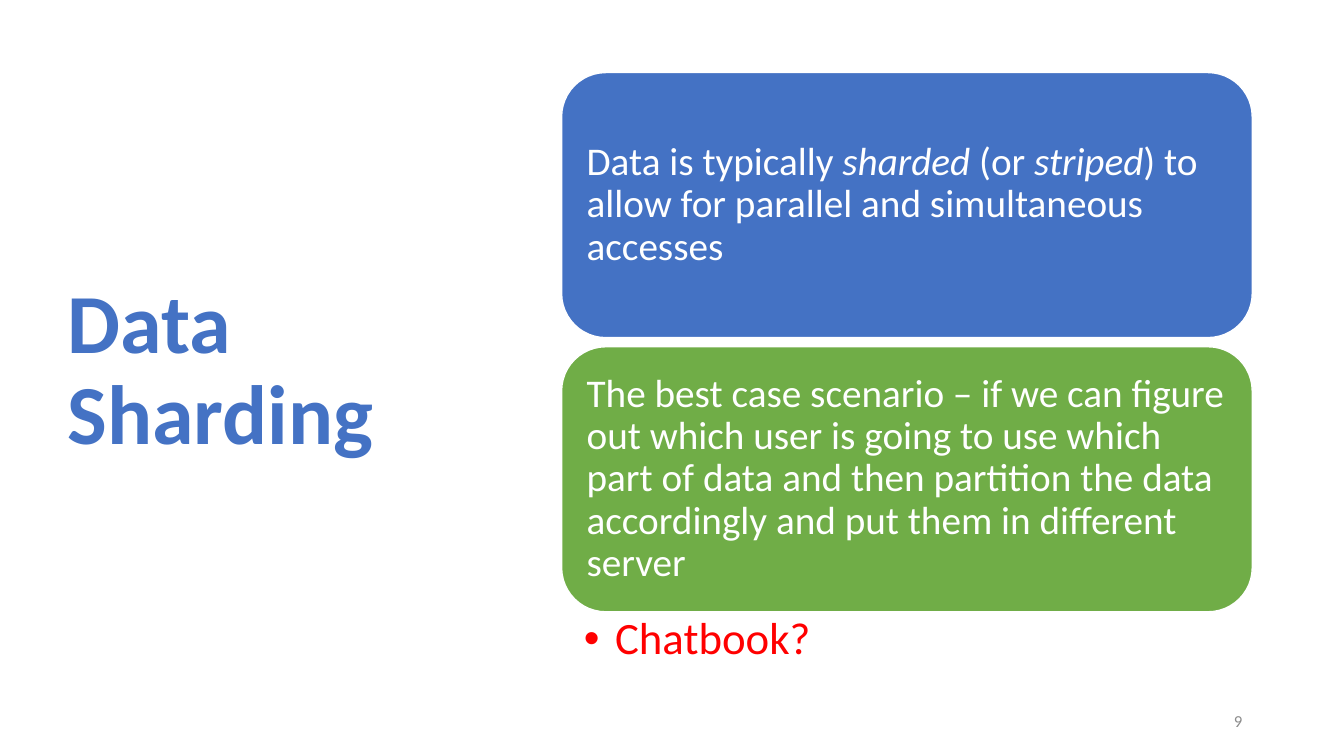
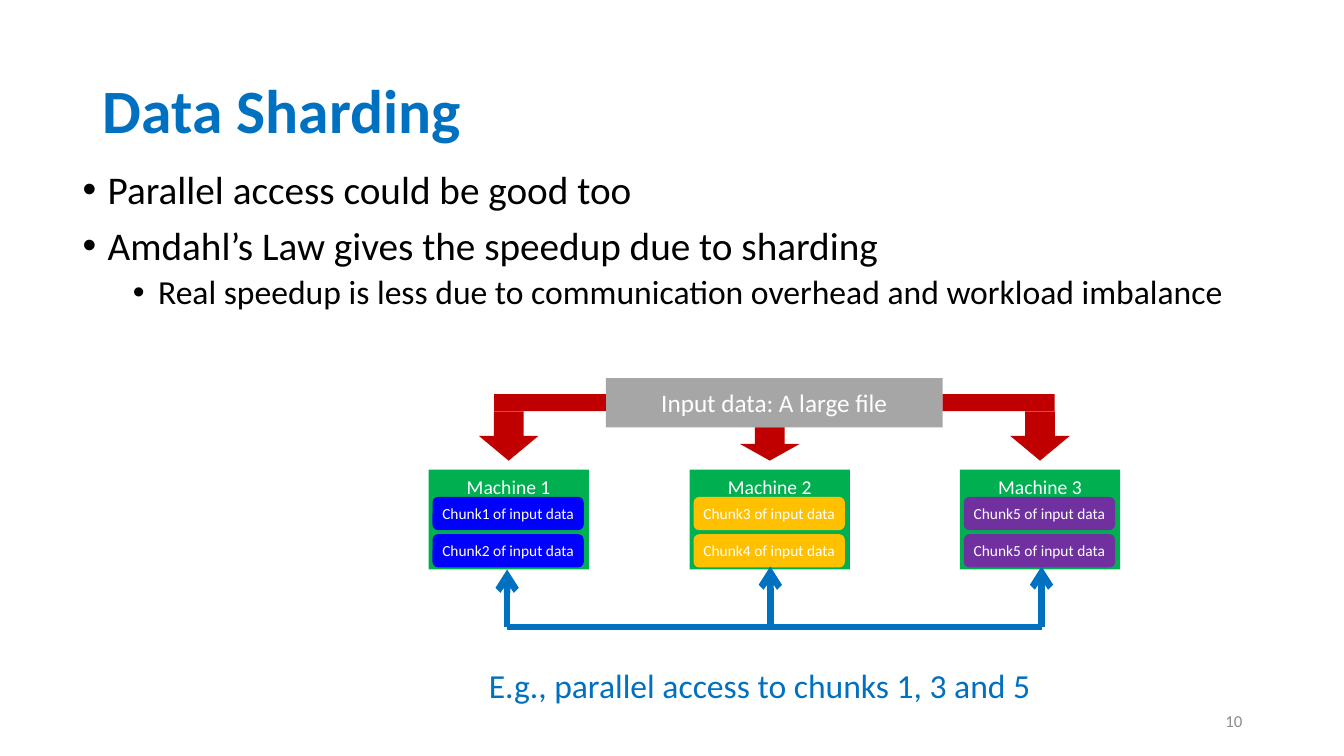
from lxml.etree import SubElement
from pptx import Presentation
from pptx.dml.color import RGBColor
from pptx.enum.shapes import MSO_CONNECTOR as Connector, MSO_SHAPE as Shape
from pptx.enum.text import MSO_ANCHOR as Anchor, MSO_AUTO_SIZE as AutoSize, PP_ALIGN as Align
from pptx.oxml.ns import qn
from pptx.util import Inches, Pt

FONT = "Calibri"
WHITE, BLACK, GREY, RED = "FFFFFF", "000000", "8C8C8C", "FF0000"
INDIGO, LEAF = "4472C4", "70AD47"
BLUE, CRIMSON, GREEN, SILVER = "0070C0", "C00000", "00B050", "A6A6A6"
color = RGBColor.from_string


def write(frame, runs, size, ink, align=Align.LEFT, spacing=1.0, before=0, bold=False, indent=None):
    para = frame.paragraphs[0]
    if para.runs:
        para = frame.add_paragraph()
    para.alignment = align
    para.line_spacing = spacing
    para.space_before = Pt(before)
    if indent:
        left, hanging = indent
        props = para._p.get_or_add_pPr()
        props.set("marL", str(Inches(left)))
        props.set("indent", str(-Inches(hanging)))
        SubElement(props, qn("a:buFont"), typeface="Arial")
        SubElement(props, qn("a:buChar"), char="•")
    for text, italic in runs:
        span = para.add_run()
        span.text = text
        span.font.name = FONT
        span.font.size = Pt(size)
        span.font.color.rgb = color(ink)
        span.font.bold = bold
        span.font.italic = italic


def add_box(page, place, kind=None, fill=None, anchor=Anchor.TOP, insets=(0.1, 0.05, 0.1, 0.05)):
    left, top, width, height = [Inches(value) for value in place]
    if kind is None:
        box = page.shapes.add_textbox(left, top, width, height)
    else:
        box = page.shapes.add_shape(kind, left, top, width, height)
        box.shadow.inherit = False
        box.fill.solid()
        box.fill.fore_color.rgb = color(fill)
        box.line.fill.background()
    frame = box.text_frame
    frame.word_wrap = True
    frame.vertical_anchor = anchor
    frame.margin_left, frame.margin_top, frame.margin_right, frame.margin_bottom = [
        Inches(value) for value in insets]
    return box


deck = Presentation()
deck.slide_width, deck.slide_height = Inches(13.33), Inches(7.5)

pages = []
for number, place, size, ink in [
    ("9", (0.57, 0.68, 4.16, 6.02), 60, INDIGO),
    ("10", (0.92, 0.4, 11.5, 1.45), 44, BLUE),
]:
    page = deck.slides.add_slide(deck.slide_layouts[5])
    title = page.shapes.title
    title.left, title.top, title.width, title.height = [Inches(value) for value in place]
    title.text_frame.auto_size = AutoSize.NONE
    title.text_frame.vertical_anchor = Anchor.MIDDLE
    write(title.text_frame, [("Data Sharding", False)], size, ink, spacing=0.9, bold=True)
    footer = add_box(page, (9.42, 6.95, 3, 0.4), anchor=Anchor.MIDDLE)
    write(footer.text_frame, [(number, False)], 12, GREY, Align.RIGHT)
    pages.append(page)
cards_page, diagram_page = pages

cards = [
    (INDIGO, [
        ("Data is typically ", False), ("sharded", True), (" (or ", False), ("striped", True),
        (") to allow for parallel and simultaneous accesses", False),
    ]),
    (LEAF, [
        ("The best case scenario – if we can figure out which user is going to use which part "
         "of data and then partition the data accordingly and put them in different server", False),
    ]),
]
for row, (fill, runs) in enumerate(cards):
    card = add_box(cards_page, (5.57, 0.72 + row * 2.72, 6.85, 2.63), Shape.ROUNDED_RECTANGLE,
                   fill, Anchor.MIDDLE, (0.12, 0.12, 0.12, 0.12))
    card.line.color.rgb = color(WHITE)
    card.line.width = Pt(1)
    write(card.text_frame, runs, 28, WHITE, spacing=0.9)
example = add_box(cards_page, (5.57, 6.07, 6.85, 0.59), insets=(0.22, 0.04, 0.25, 0.04))
write(example.text_frame, [("Chatbook?", False)], 32, RED, spacing=0.9, indent=(0.31, 0.31))

body = add_box(diagram_page, (0.72, 1.64, 12.01, 1.83))
for text, size, before, left in [
    ("Parallel access could be good too", 28, 10, 0.25),
    ("Amdahl’s Law gives the speedup due to sharding", 28, 10, 0.25),
    ("Real speedup is less due to communication overhead and workload imbalance", 24, 5, 0.75),
]:
    write(body.text_frame, [(text, False)], size, BLACK, Align.JUSTIFY, 0.9, before,
          indent=(left, 0.25))

caption = add_box(diagram_page, (4.75, 6.55, 6.33, 0.55))
write(caption.text_frame, [("E.g., parallel access to chunks 1, 3 and 5", False)], 24, BLUE)

source = add_box(diagram_page, (6.01, 3.75, 3.34, 0.49), Shape.RECTANGLE, SILVER, Anchor.MIDDLE)
write(source.text_frame, [("Input data: A large file", False)], 18, WHITE, Align.CENTER)
for left in (4.9, 9.35):
    add_box(diagram_page, (left, 3.91, 1.11, 0.17), Shape.RECTANGLE, CRIMSON)

machines = [
    ("Machine 1", 4.25, 4.08, "0000FF", ("Chunk1", "Chunk2")),
    ("Machine 2", 6.84, 4.24, "FFC000", ("Chunk3", "Chunk4")),
    ("Machine 3", 9.52, 4.08, "7030A0", ("Chunk5", "Chunk5")),
]
for name, left, arrow_top, fill, chunks in machines:
    add_box(diagram_page, (left + 0.5, arrow_top, 0.59, 4.57 - arrow_top), Shape.DOWN_ARROW, CRIMSON)
    machine = add_box(diagram_page, (left, 4.66, 1.59, 0.99), Shape.RECTANGLE, GREEN)
    write(machine.text_frame, [(name, False)], 14, WHITE, Align.CENTER)
    for row, label in enumerate(chunks):
        chunk = add_box(diagram_page, (left + 0.04, 4.93 + row * 0.37, 1.5, 0.33),
                        Shape.ROUNDED_RECTANGLE, fill, Anchor.MIDDLE, (0, 0.05, 0, 0.05))
        write(chunk.text_frame, [(f"{label} of input data", False)], 11, WHITE, Align.CENTER)

for start_x, end_x, end_y, has_head in [
    (5.03, 5.03, 5.65, True),
    (5.03, 10.33, 6.22, False),
    (7.64, 7.64, 5.62, True),
    (10.33, 10.33, 5.62, True),
]:
    link = diagram_page.shapes.add_connector(
        Connector.STRAIGHT, Inches(start_x), Inches(6.22), Inches(end_x), Inches(end_y))
    link.line.color.rgb = color(BLUE)
    link.line.width = Pt(4.75)
    if has_head:
        SubElement(link.line._get_or_add_ln(), qn("a:tailEnd"), type="arrow")
    SubElement(link._element.spPr, qn("a:effectLst"))

deck.save("out.pptx")
